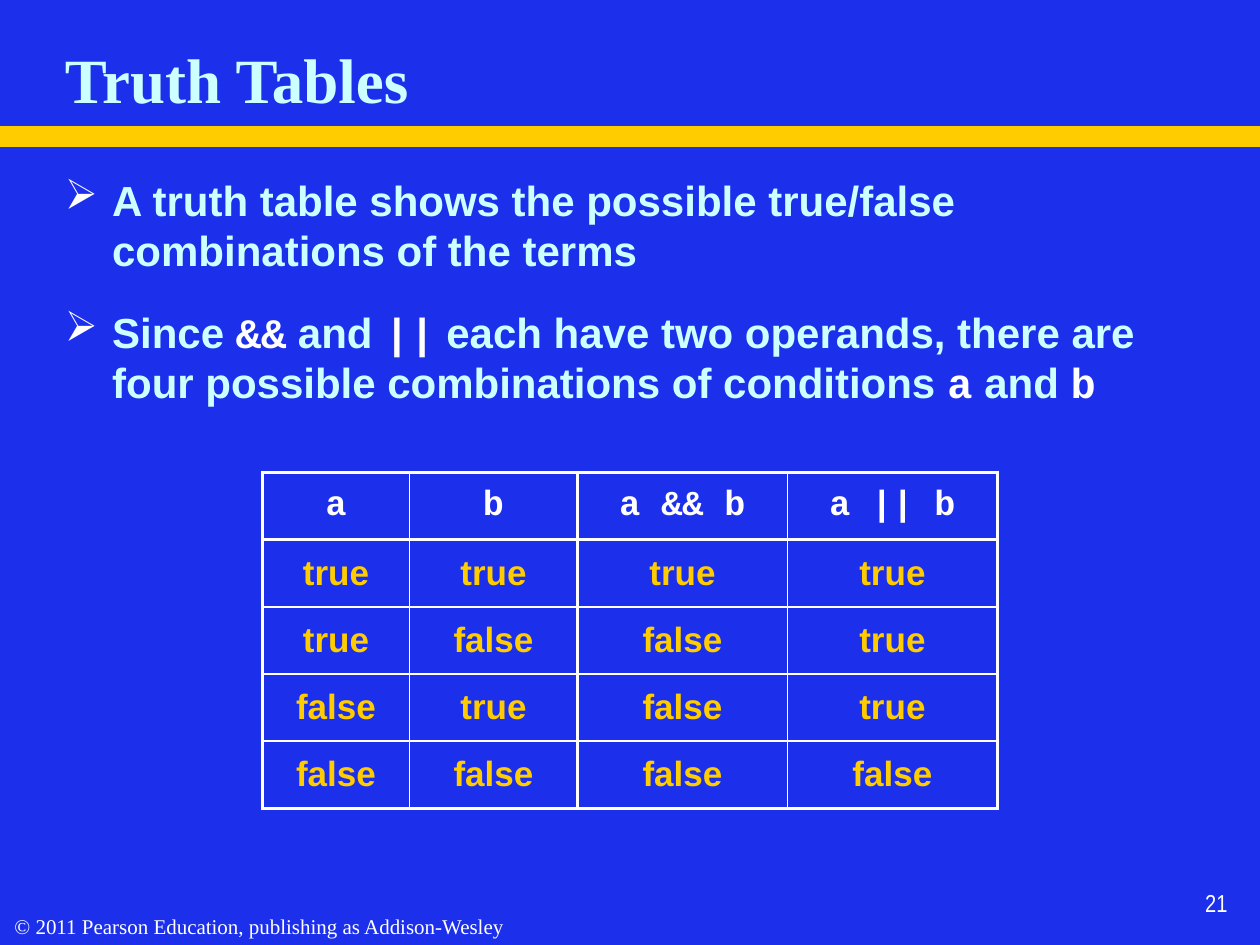
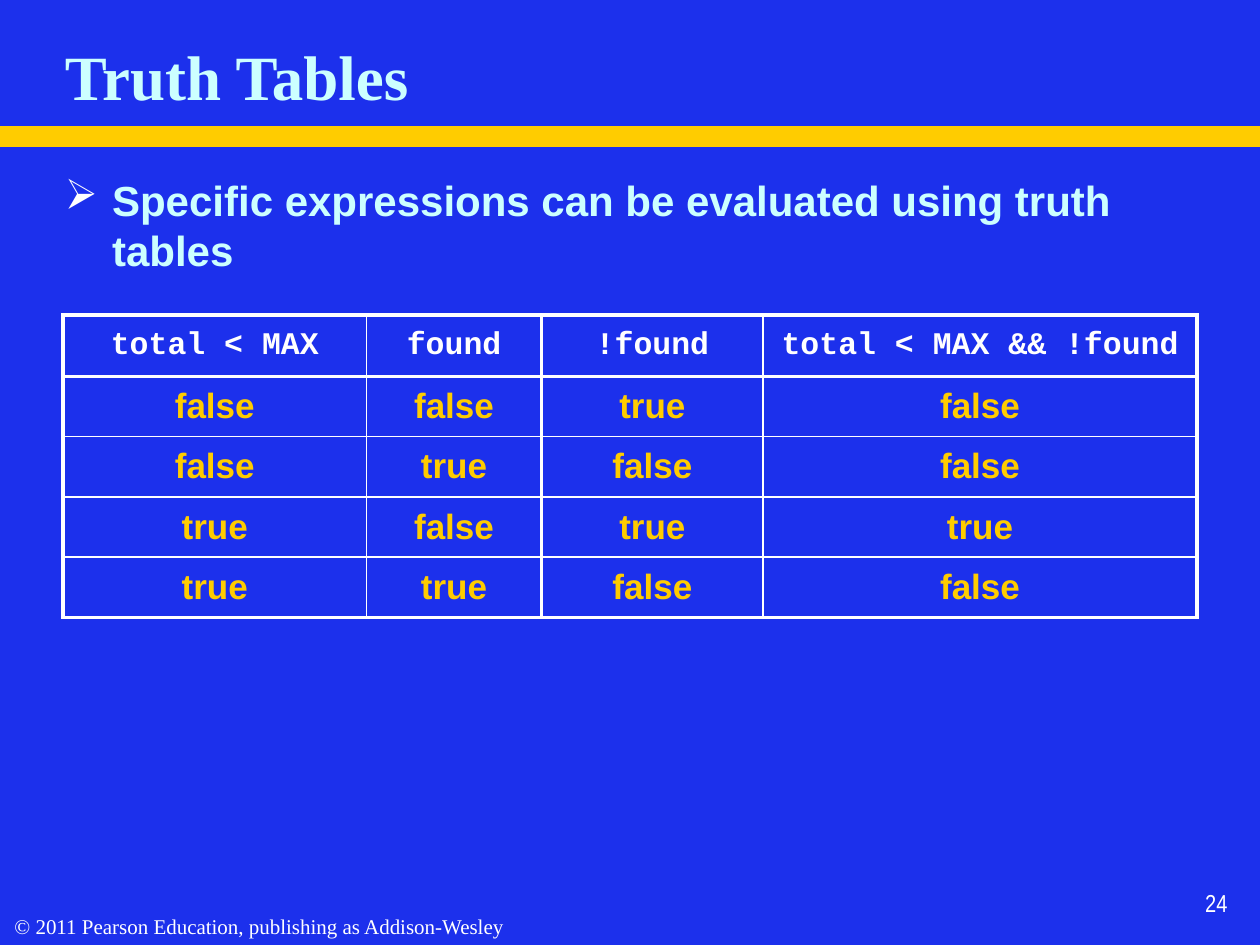
"""Builds two slides on truth tables."""
from lxml.etree import SubElement
from pptx import Presentation
from pptx.dml.color import RGBColor as Rgb
from pptx.enum.shapes import MSO_SHAPE as Shape
from pptx.enum.text import MSO_ANCHOR as Anchor, PP_ALIGN as Align
from pptx.oxml import parse_xml
from pptx.oxml.ns import nsdecls, qn
from pptx.util import Pt

HUES = {"back": "1C30EC", "gold": "FFCC00", "ice": "CCFFFF", "white": "FFFFFF"}
TITLE = ("Times New Roman", 36, "ice", True)
FOOT = ("Times New Roman", 12, "white", False)
PAGE = ("Arial Narrow", 14, "white", False)
BODY = ("Arial", 24, "ice", True)
CODE = ("Courier New", 24, "white", True)
VALUE = ("Arial", 20, "gold", True)
THICK, THIN = 2.25, 1


def hue(name):
    return Rgb.from_string(HUES[name])


class Deck:
    def __init__(self):
        self.prs = Presentation()
        self.prs.slide_width, self.prs.slide_height = Pt(720), Pt(540)
        self.slide = None

    def start(self, title, page, anchor):
        self.slide = self.prs.slides.add_slide(self.prs.slide_layouts[6])
        fill = self.slide.background.fill
        fill.solid()
        fill.fore_color.rgb = hue("back")
        self.band(0, 72, 720, 12)
        self.label("© 2011 Pearson Education, publishing as Addison-Wesley",
                   (0, 518.4, 296.5, 21.6), FOOT, Align.CENTER, wrap=False)
        self.label(str(page), (558.5, 492, 150, 36), PAGE, Align.RIGHT, Anchor.BOTTOM)
        self.label(title, (30, 16, 616, 54), TITLE, anchor=anchor)

    def band(self, *box):
        bar = self.slide.shapes.add_shape(Shape.RECTANGLE, *map(Pt, box))
        bar.shadow.inherit = False
        bar.fill.solid()
        bar.fill.fore_color.rgb = hue("gold")
        bar.line.fill.background()

    def frame(self, box, anchor=Anchor.TOP, wrap=True):
        frame = self.slide.shapes.add_textbox(*map(Pt, box)).text_frame
        frame.word_wrap = wrap
        frame.vertical_anchor = anchor
        return frame

    def run(self, para, text, style):
        run = para.add_run()
        run.text = text
        font = run.font
        font.name, size, tint, font.bold = style
        font.size = Pt(size)
        font.color.rgb = hue(tint)

    def label(self, text, box, style, align=Align.LEFT, anchor=Anchor.TOP, wrap=True):
        para = self.frame(box, anchor, wrap).paragraphs[0]
        para.alignment = align
        self.run(para, text, style)

    def bullets(self, box, items):
        frame = self.frame(box)
        for num, parts in enumerate(items):
            para = frame.add_paragraph() if num else frame.paragraphs[0]
            props = para._p.get_or_add_pPr()
            props.set("marL", str(Pt(27)))
            props.set("indent", str(-Pt(27)))
            tint = SubElement(props, qn("a:buClr"))
            SubElement(tint, qn("a:srgbClr"), val=HUES["white"])
            SubElement(props, qn("a:buChar"), char="➢")
            if num:
                para.space_before = Pt(18)
            for text, style in parts:
                self.run(para, text, style)

    def border(self, cell, row, col, last):
        rows = [THICK if edge in (0, 1, last) else THIN for edge in (row, row + 1)]
        cols = [THIN if edge % 2 else THICK for edge in (col, col + 1)]
        props = cell._tc.get_or_add_tcPr()
        for spot, (side, width) in enumerate(zip("LRTB", cols + rows)):
            props.insert(spot, parse_xml(
                f'<a:ln{side} {nsdecls("a")} w="{Pt(width)}"><a:solidFill>'
                f'<a:srgbClr val="{HUES["white"]}"/></a:solidFill></a:ln{side}>'))

    def table(self, left, top, widths, heights, head, size, values):
        data = [head] + [line.split() for line in values]
        grid = self.slide.shapes.add_table(
            len(data), len(head), Pt(left), Pt(top),
            Pt(sum(widths)), Pt(sum(heights))).table
        grid.first_row = grid.horz_banding = False
        for col, width in zip(grid.columns, widths):
            col.width = Pt(width)
        for row, height in zip(grid.rows, heights):
            row.height = Pt(height)
        top_style = ("Courier New", size, "white", True)
        for row, line in enumerate(data):
            for col, text in enumerate(line):
                cell = grid.cell(row, col)
                cell.fill.background()
                cell.vertical_anchor = Anchor.MIDDLE
                para = cell.text_frame.paragraphs[0]
                para.alignment = Align.CENTER
                self.run(para, text, VALUE if row else top_style)
                self.border(cell, row, col, len(data))


def main():
    deck = Deck()
    deck.start("Truth Tables", 21, Anchor.BOTTOM)
    deck.bullets((30, 96, 660, 150), [
        [("A truth table shows the possible true/false combinations of the terms", BODY)],
        [("Since ", BODY), ("&&", CODE), (" and ", BODY), ("||", CODE),
         (" each have two operands, there are four possible combinations of conditions ", BODY),
         ("a", CODE), (" and ", BODY), ("b", CODE)]])
    deck.table(150, 270, [84, 96, 120, 120], [38.4] * 5,
               ["a", "b", "a && b", "a || b"], 20,
               ["true true true true", "true false false true",
                "false true false true", "false false false false"])

    deck.start("Truth Tables", 24, Anchor.MIDDLE)
    deck.bullets((30, 96, 654, 66), [
        [("Specific expressions can be evaluated using truth tables", BODY)]])
    deck.table(36, 180, [173.5, 100, 126.7, 247.8], [35.2] + [34.4] * 4,
               ["total < MAX", "found", "!found", "total < MAX && !found"], 18,
               ["false false true false", "false true false false",
                "true false true true", "true true false false"])
    deck.prs.save("out.pptx")


if __name__ == "__main__":
    main()
